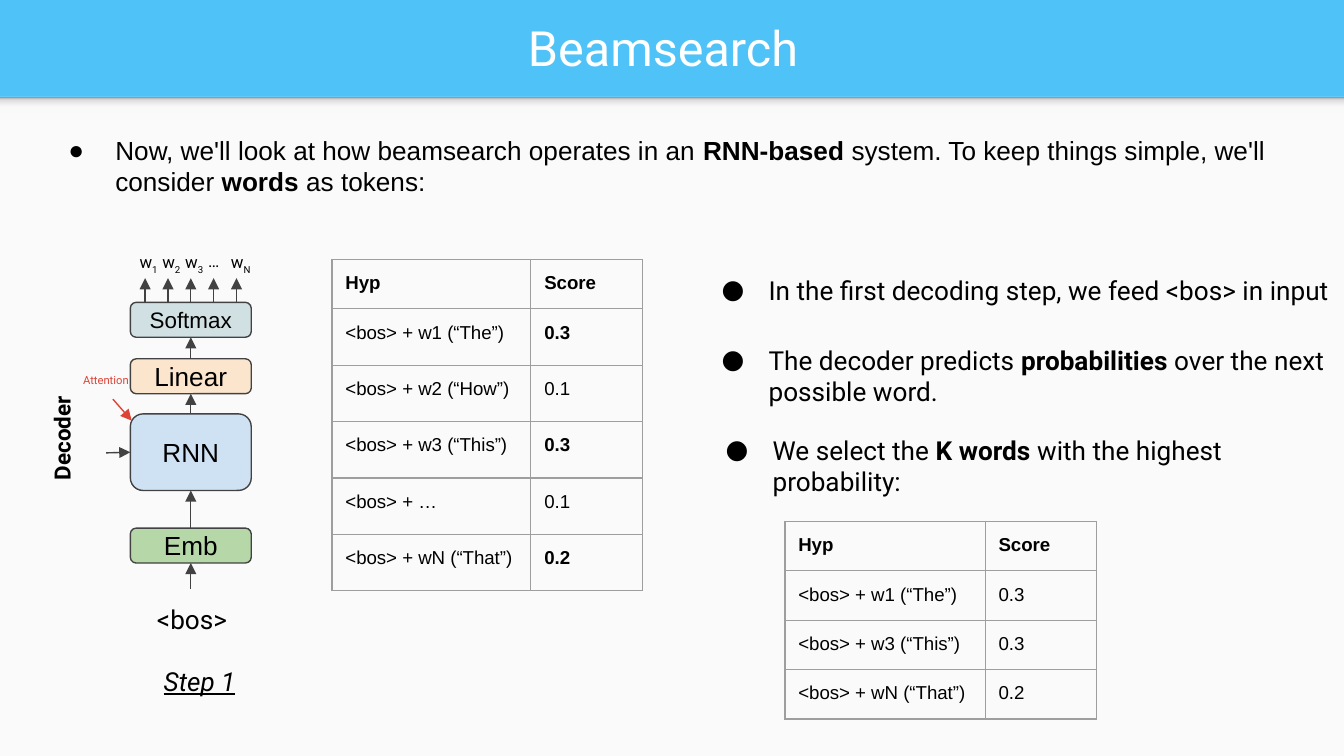
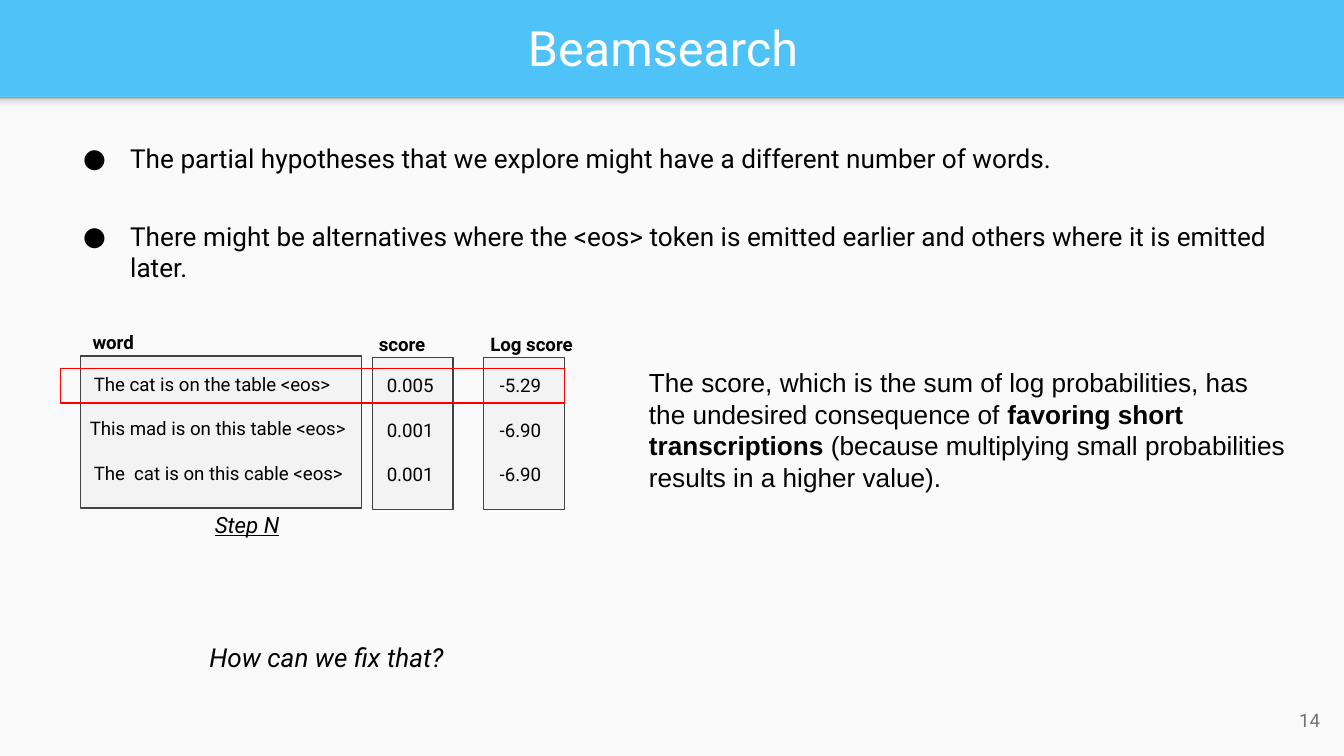
from dataclasses import dataclass

from lxml.etree import SubElement
from pptx import Presentation
from pptx.dml.color import RGBColor
from pptx.enum.shapes import MSO_CONNECTOR as CONN, MSO_SHAPE as SHAPE
from pptx.enum.text import MSO_ANCHOR as ANCHOR, PP_ALIGN as ALIGN
from pptx.oxml import parse_xml
from pptx.oxml.ns import nsdecls, qn
from pptx.util import Inches, Pt


@dataclass(frozen=True)
class Theme:
    band: str = "4FC3F7"
    panel: str = "FAFAFA"
    white: str = "FFFFFF"
    ink: str = "000000"
    line: str = "424242"
    grid: str = "9E9E9E"
    column: str = "F3F3F3"
    number: str = "737373"
    attention: str = "DB4437"
    highlight: str = "FF0000"
    shadow: tuple = ((0, "F9F9F9"), (36, "F9F9F9"), (80, "DEDEDE"), (100, "999999"))
    head: str = "Roboto"
    sans: str = "Arial"
    title: int = 26
    body: int = 14
    label: int = 12
    cell: int = 10
    output: int = 9
    tiny: int = 6
    stroke: float = 0.75


T = Theme()

# Content: a run is plain text or (text, style), style letters b, i, u, s (subscript)
TITLE = "Beamsearch"
INTRO = ["Now, we'll look at how beamsearch operates in an ", ("RNN-based ", "b"),
         "system. To keep things simple, we'll consider ", ("words", "b"), " as tokens:"]
STEPS = [
    ((5.12, 1.94, 4.88, 0.44), ["In the first decoding step, we feed <bos> in input"]),
    ((5.12, 2.46, 4.88, 0.67), ["The decoder predicts ", ("probabilities", "b"),
                                " over the next possible word."]),
    ((5.15, 3.13, 4.88, 0.67), ["We select the ", ("K words", "b"),
                                " with the highest probability:"]),
]
LAYERS = [  # name, top, height, fill, size
    ("Emb", 3.93, 0.26, "B6D7A8", T.body),
    ("RNN", 3.08, 0.57, "CFE2F3", T.body),
    ("Linear", 2.67, 0.26, "FCE5CD", T.body),
    ("Softmax", 2.25, 0.26, "D0E0E3", T.label),
]
OUTPUTS = [["w", ("1", "s")], ["w", ("2", "s")], ["w", ("3", "s")], ["…"], ["w", ("N", "s")]]
HEADER = ("Hyp", "Score")
HYPS = [("<bos> + w1 (“The”)", 0.3), ("<bos> + w2 (“How”)", 0.1), ("<bos> + w3 (“This”)", 0.3),
        ("<bos> + …", 0.1), ("<bos> + wN (“That”)", 0.2)]
BEAM = [hyp for hyp in HYPS if hyp[1] >= 0.2]

LENGTH_POINTS = [
    ((0.37, 0.96, 7.99, 0.44),
     ["The partial hypotheses that we explore might have a different number of words."]),
    ((0.37, 1.54, 9.55, 0.67),
     ["There might be alternatives where the <eos> token is emitted earlier and others "
      "where it is emitted later."]),
]
COLUMNS = [  # heading, its left, box left, top, width, cells as (left, text)
    ("word", 0.59, 0.6, 2.65, 2.09, [(0.6, "The cat is on the table <eos>"),
                                     (0.57, "This mad is on this table <eos>"),
                                     (0.6, "The  cat is on this cable <eos>")]),
    ("score", 2.72, 2.77, 2.66, 0.6, [(2.78, "0.005"), (2.78, "0.001"), (2.78, "0.001")]),
    ("Log score", 3.55, 3.6, 2.66, 0.6, [(3.62, "-5.29"), (3.62, "-6.90"), (3.62, "-6.90")]),
]
SHORT_BIAS = ["The score, which is the sum of log probabilities, has the undesired consequence of ",
              ("favoring short transcriptions", "b"),
              " (because multiplying small probabilities results in a higher value)."]


# Helpers
def rgb(code):
    return RGBColor.from_string(code)


def inches(*values):
    return [Inches(v) for v in values]


def add_runs(p, runs, size, font, color):
    for item in runs:
        words, style = (item, "") if isinstance(item, str) else item
        r = p.add_run()
        r.text = words
        f = r.font
        f.size, f.name, f.color.rgb = Pt(size), font, rgb(color)
        f.bold, f.italic, f.underline = "b" in style, "i" in style, "u" in style
        if "s" in style:
            r._r.get_or_add_rPr().set("baseline", "-25000")


def fill_frame(tf, runs, size, font, color, align, anchor):
    tf.word_wrap = True
    tf.vertical_anchor = anchor
    tf.margin_left = tf.margin_right = tf.margin_top = tf.margin_bottom = Inches(0.1)
    p = tf.paragraphs[0]
    p.alignment = align
    add_runs(p, runs, size, font, color)


def add_text(slide, at, runs, size=T.body, font=T.head, color=T.ink,
             align=ALIGN.LEFT, anchor=ANCHOR.TOP):
    sp = slide.shapes.add_textbox(*inches(*at))
    fill_frame(sp.text_frame, runs, size, font, color, align, anchor)
    return sp


def add_bullet(slide, at, runs, font=T.head):
    sp = add_text(slide, at, runs, font=font)
    pPr = sp.text_frame.paragraphs[0]._p.get_or_add_pPr()
    pPr.set("marL", str(Inches(0.5)))
    pPr.set("indent", str(Inches(-0.35)))
    SubElement(SubElement(pPr, qn("a:buClr")), qn("a:srgbClr")).set("val", T.ink)
    SubElement(pPr, qn("a:buSzPts")).set("val", str(T.body * 100))
    SubElement(pPr, qn("a:buFont")).set("typeface", font)
    SubElement(pPr, qn("a:buChar")).set("char", "●")


def add_box(slide, at, fill=None, line=None, kind=SHAPE.RECTANGLE):
    sp = slide.shapes.add_shape(kind, *inches(*at))
    sp.shadow.inherit = False
    if fill:
        sp.fill.solid()
        sp.fill.fore_color.rgb = rgb(fill)
    else:
        sp.fill.background()
    if line:
        sp.line.color.rgb, sp.line.width = rgb(line), Pt(T.stroke)
    else:
        sp.line.fill.background()
    return sp


def add_arrow(slide, start, end, color=T.line, source=None, target=None):
    """source and target are (shape, side) pairs to join."""
    cx = slide.shapes.add_connector(CONN.STRAIGHT, *inches(*start, *end))
    cx.line.color.rgb, cx.line.width = rgb(color), Pt(T.stroke)
    if source:
        cx.begin_connect(*source)
    if target:
        cx.end_connect(*target)
    SubElement(cx.line._get_or_add_ln(), qn("a:tailEnd")).set("type", "triangle")
    SubElement(cx._element.spPr, qn("a:effectLst"))


def add_borders(cell):
    tcPr = cell._tc.get_or_add_tcPr()
    for i, side in enumerate(("lnL", "lnR", "lnT", "lnB")):
        tcPr.insert(i, parse_xml(
            f'<a:{side} {nsdecls("a")} w="{Pt(T.stroke)}"><a:solidFill>'
            f'<a:srgbClr val="{T.grid}"/></a:solidFill></a:{side}>'))


def add_hyps(slide, left, top, widths, row_height, hyps, mark=()):
    """Table of hypotheses; the scores of those in mark are bold."""
    head_height = 0.36
    heights = [head_height] + [row_height] * len(hyps)
    rows = [[(name, "b") for name in HEADER]]
    rows += [[(h[0], ""), (str(h[1]), "b" if h in mark else "")] for h in hyps]
    table = slide.shapes.add_table(
        len(rows), len(HEADER), *inches(left, top, sum(widths), sum(heights))).table
    table.first_row = table.horz_banding = False
    for column, width in zip(table.columns, widths):
        column.width = Inches(width)
    for i, row in enumerate(rows):
        table.rows[i].height = Inches(heights[i])
        for j, run in enumerate(row):
            cell = table.cell(i, j)
            cell.fill.background()
            cell.margin_left = cell.margin_right = Inches(0.1)
            cell.margin_top = cell.margin_bottom = Inches(0.1)
            add_runs(cell.text_frame.paragraphs[0], [run], T.cell, T.sans, T.ink)
            add_borders(cell)


def new_slide(prs):
    """Slide with the blue title band, the light panel and its shadow."""
    slide = prs.slides.add_slide(prs.slide_layouts[6])
    slide.background.fill.solid()
    slide.background.fill.fore_color.rgb = rgb(T.band)
    add_box(slide, (0, 0.72, 10, 4.91), T.panel)
    shadow = add_box(slide, (0, 0.72, 10, 0.12))
    shadow.fill.gradient()
    shadow.fill.gradient_angle = 90
    stops = shadow._element.spPr.find(qn("a:gradFill")).find(qn("a:gsLst"))
    for old in list(stops):
        stops.remove(old)
    for pos, color in T.shadow:
        stop = SubElement(stops, qn("a:gs"))
        stop.set("pos", str(pos * 1000))
        SubElement(stop, qn("a:srgbClr")).set("val", color)
    add_text(slide, (0.11, 0.02, 9.65, 0.66), [TITLE], T.title, color=T.white,
             align=ALIGN.CENTER, anchor=ANCHOR.MIDDLE)
    return slide


def add_decoder(slide):
    left, width = 0.97, 0.9
    mid = left + width / 2
    boxes = {}
    # Layers, bottom to top, each fed by the one below
    below = None
    for name, top, height, fill, size in LAYERS:
        sp = add_box(slide, (left, top, width, height), fill, T.line, SHAPE.ROUNDED_RECTANGLE)
        fill_frame(sp.text_frame, [name], size, T.sans, T.ink, ALIGN.CENTER, ANCHOR.MIDDLE)
        bottom = top + height
        add_arrow(slide, (mid, bottom + 0.19), (mid, bottom),
                  source=below and (below, 0), target=(sp, 2))
        boxes[name] = below = sp
    # Word outputs
    for i, runs in enumerate(OUTPUTS):
        x = mid + 0.17 * (i - 2)
        add_arrow(slide, (x, 2.25), (x, 2.07), source=(boxes["Softmax"], 0) if i == 2 else None)
        add_text(slide, (x - 0.14, 1.79, 0.5, 0.35), runs, T.output)
    # Side inputs and labels
    add_arrow(slide, (0.79, 3.37), (left, 3.37), target=(boxes["RNN"], 1))
    add_arrow(slide, (0.84, 2.97), (0.98, 3.13), T.attention)
    add_text(slide, (0.52, 2.73, 1.27, 0.3), ["Attention"], T.tiny, color=T.attention)
    add_text(slide, (1.07, 4.39, 0.8, 0.44), ["<bos>"])
    add_text(slide, (1.12, 4.85, 0.8, 0.44), [("Step 1", "iu")])
    add_text(slide, (-0.05, 2.96, 1.02, 0.4), [("Decoder", "b")], T.label).rotation = 270


def first_step_slide(prs):
    slide = new_slide(prs)
    add_bullet(slide, (0.26, 0.9, 9.56, 0.67), INTRO, T.sans)
    add_decoder(slide)
    add_hyps(slide, 2.47, 1.93, (1.48, 0.83), 0.42, HYPS, mark=BEAM)
    add_hyps(slide, 5.84, 3.88, (1.49, 0.83), 0.36, BEAM)
    for at, runs in STEPS:
        add_bullet(slide, at, runs)


def length_slide(prs):
    slide = new_slide(prs)
    add_text(slide, (9.32, 5.14, 0.6, 0.43), ["14"], T.cell, color=T.number,
             align=ALIGN.RIGHT, anchor=ANCHOR.MIDDLE)
    for at, runs in LENGTH_POINTS:
        add_bullet(slide, at, runs)
    # Scored hypotheses
    for heading, head_left, left, top, width, cells in COLUMNS:
        add_box(slide, (left, top, width, 1.13), T.column, T.line)
        add_text(slide, (head_left, top - 0.27, 0.92, 0.37), [(heading, "b")], T.cell)
        for i, (x, words) in enumerate(cells):
            add_text(slide, (x, top + 0.04 + 0.33 * i, width + 0.07, 0.37), [words], T.cell)
    add_box(slide, (0.45, 2.74, 3.75, 0.26), line=T.highlight)
    # Remarks
    add_text(slide, (1.5, 3.7, 0.83, 0.4), [("Step N", "iu")], T.label)
    add_text(slide, (4.73, 2.63, 4.98, 1.14), SHORT_BIAS, font=T.sans)
    add_text(slide, (1.46, 4.67, 2.04, 0.44), [("How can we fix that?", "i")])


def main():
    prs = Presentation()
    prs.slide_width = Inches(10)
    prs.slide_height = prs.slide_width * 9 // 16
    first_step_slide(prs)
    length_slide(prs)
    prs.save("out.pptx")


if __name__ == "__main__":
    main()
